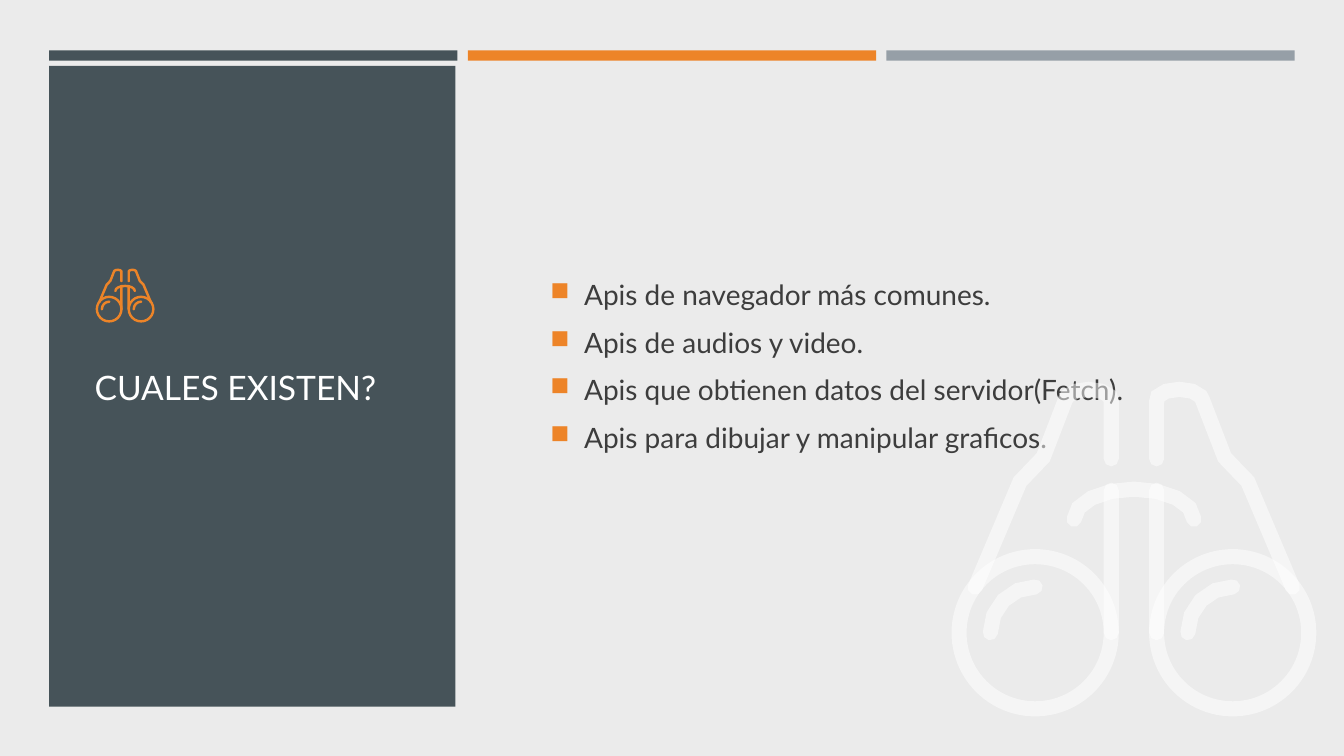
import math
from lxml import etree
from pptx import Presentation
from pptx.dml.color import RGBColor
from pptx.enum.shapes import MSO_SHAPE
from pptx.enum.text import MSO_ANCHOR, PP_ALIGN
from pptx.oxml.ns import qn
from pptx.util import Cm, Pt

RECT, DONUT = MSO_SHAPE.RECTANGLE, MSO_SHAPE.DONUT
MIDDLE, LEFT = MSO_ANCHOR.MIDDLE, PP_ALIGN.LEFT
SLATE, ORANGE, GREY, WHITE = "465359", "ED8428", "969FA7", "FFFFFF"
BACKGROUND, INK = "EBEBEB", "3D3D3D"

STROKE = 0.15
ICON_WIDTH = 3.62
RING_SIZE = 1.66
RING_LEFTS = (0, 1.96)
RING_TOP = 1.68


def rgb(value):
    return RGBColor.from_string(value)


def arc(centre, rx, ry, start, end, steps):
    angles = [math.radians(start + (end - start) * k / steps) for k in range(steps + 1)]
    return [centre + complex(rx * math.cos(a), ry * math.sin(a)) for a in angles]


def mirrored(line):
    return [complex(ICON_WIDTH - p.real, p.imag) for p in line]


def round_band(line, width):
    steps = [(b - a) / abs(b - a) for a, b in zip(line, line[1:])]
    offsets = [0.5j * width * (u + v) / (1 + (u * v.conjugate()).real)
               for u, v in zip(steps[:1] + steps, steps + steps[-1:])]
    turn = arc(0, 1, 1, 0, -180, 4)[1:-1]
    sides = list(zip(line, offsets))
    return ([p + o for p, o in sides] + [line[-1] + offsets[-1] * t for t in turn]
            + [p - o for p, o in reversed(sides)] + [line[0] - offsets[0] * t for t in turn])


def binocular_lines():
    arm = [0.235 + 2.06j, 0.68 + 1.01j, 0.91 + 0.77j, 1.13 + 0.2j]
    arm += arc(1.36 + 0.2j, 0.225, 0.105, 200, 340, 4) + [1.585 + 0.22j, 1.585 + 0.785j]
    bar = [1.585 + 1.095j, 1.585 + 2.51j]
    bridge = arc(1.81 + 1.385j, 0.595, 0.3, 180, 360, 8)
    glints = [arc(complex(x + RING_SIZE / 2, 2.51), 0.445, 0.455, 180, 270, 4)
              for x in RING_LEFTS]
    return [arm, mirrored(arm), bridge, bar, mirrored(bar)] + glints


class Deck:
    font = "Lato"

    def __init__(self, width, height):
        self.prs = Presentation()
        self.prs.slide_width, self.prs.slide_height = Cm(width), Cm(height)

    def slide(self, colour):
        self.s = self.prs.slides.add_slide(self.prs.slide_layouts[5])
        self.s.background.fill.solid()
        self.s.background.fill.fore_color.rgb = rgb(colour)

    def paint(self, sp, colour, opacity=100):
        sp.shadow.inherit = False
        sp.line.fill.background()
        sp.fill.solid()
        sp.fill.fore_color.rgb = rgb(colour)
        if opacity < 100:
            fill = sp.element.spPr.find(qn("a:solidFill"))
            etree.SubElement(fill[0], qn("a:alpha"), val=str(opacity * 1000))

    def rect(self, x, y, w, h, colour):
        sp = self.s.shapes.add_shape(RECT, Cm(x), Cm(y), Cm(w), Cm(h))
        self.paint(sp, colour)

    def style(self, p, size, colour):
        p.alignment = LEFT
        for r in p.runs:
            r.font.name, r.font.size = self.font, Pt(size)
            r.font.color.rgb = rgb(colour)

    def title(self, text, x, y, w, h, size, colour):
        sp = self.s.shapes.title
        sp.left, sp.top, sp.width, sp.height = Cm(x), Cm(y), Cm(w), Cm(h)
        tf = sp.text_frame
        tf.text = text
        tf.vertical_anchor = MIDDLE
        self.style(tf.paragraphs[0], size, colour)
        sp.element.getparent().append(sp.element)

    def bullets(self, lines, x, y, w, h, size, colour, marker):
        tf = self.s.shapes.add_textbox(Cm(x), Cm(y), Cm(w), Cm(h)).text_frame
        tf.word_wrap = True
        tf.vertical_anchor = MIDDLE
        tf.text = "\n".join(lines)
        for p in tf.paragraphs:
            self.style(p, size, colour)
            p.space_before, p.space_after = Pt(size * 0.2), Pt(6)
            pPr = p._p.get_or_add_pPr()
            pPr.set("marL", str(Cm(0.85)))
            pPr.set("indent", str(-Cm(0.85)))
            tint = etree.SubElement(pPr, qn("a:buClr"))
            etree.SubElement(tint, qn("a:srgbClr"), val=marker)
            etree.SubElement(pPr, qn("a:buSzPct"), val="92000")
            etree.SubElement(pPr, qn("a:buFont"), typeface="Wingdings", charset="2")
            etree.SubElement(pPr, qn("a:buChar"), char="n")

    def binoculars(self, x, y, unit, colour, opacity=100):
        shapes = self.s.shapes.add_group_shape().shapes
        for left in RING_LEFTS:
            size = Cm(RING_SIZE * unit)
            sp = shapes.add_shape(DONUT, Cm(x + left * unit), Cm(y + RING_TOP * unit), size, size)
            sp.adjustments[0] = STROKE / RING_SIZE
            self.paint(sp, colour, opacity)
        for line in binocular_lines():
            points = [(Cm(x + p.real * unit), Cm(y + p.imag * unit))
                      for p in round_band(line, STROKE)]
            builder = shapes.build_freeform(*points[0])
            builder.add_line_segments(points[1:], close=True)
            self.paint(builder.convert_to_shape(), colour, opacity)


deck = Deck(33.87, 19.05)
deck.slide(BACKGROUND)
for i, colour in enumerate((SLATE, ORANGE, GREY)):
    deck.rect(1.24 + i * 10.55, 1.27, 10.29, 0.26, colour)
deck.rect(1.24, 1.66, 10.24, 16.15, SLATE)
deck.bullets(
    ["Apis de navegador más comunes.",
     "Apis de audios y video.",
     "Apis que obtienen datos del servidor(Fetch).",
     "Apis para dibujar y manipular graficos."],
    13.62, 2.75, 18.47, 12.93, 20, INK, ORANGE)
deck.title("CUALES EXISTEN?", 2.13, 7.37, 8.43, 4.78, 24, WHITE)
deck.binoculars(23.98, 9.57, 2.54, WHITE, 50)
deck.binoculars(2.41, 6.76, 0.41, ORANGE)
deck.prs.save("out.pptx")
